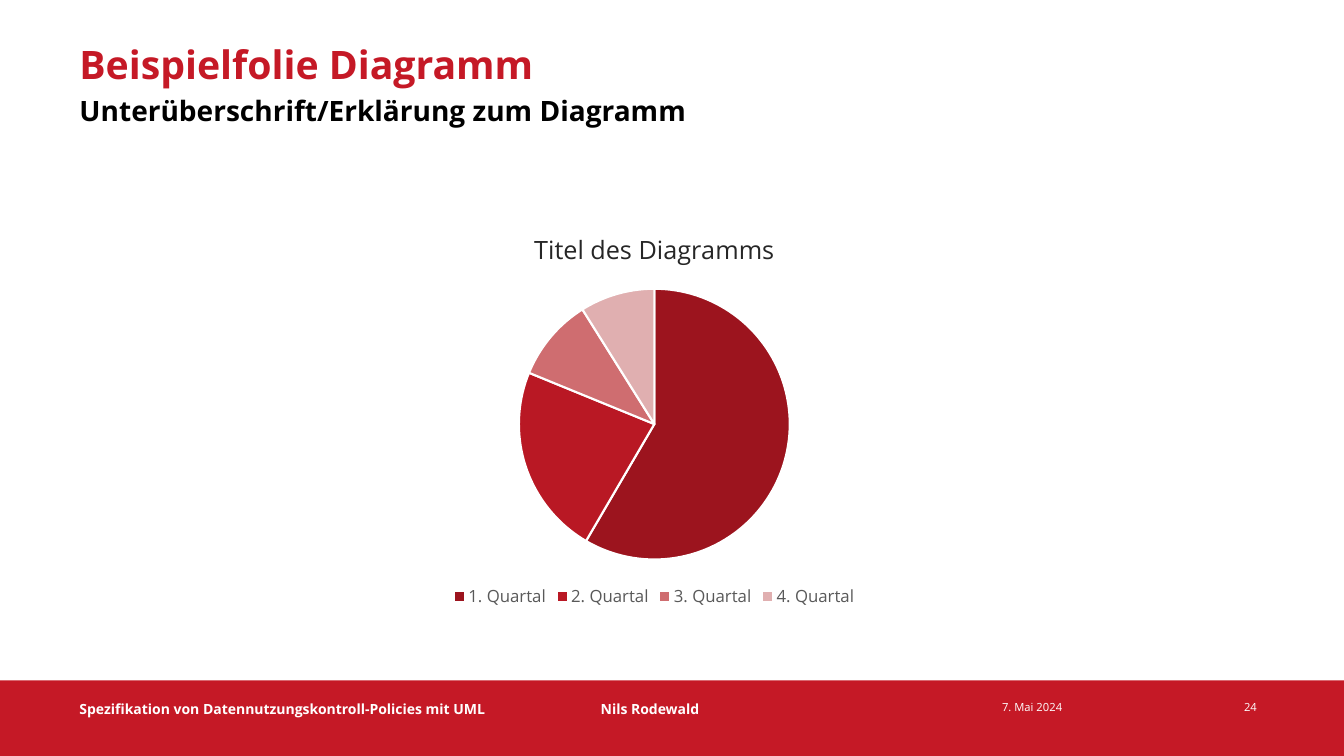
from pptx import Presentation
from pptx.chart.data import CategoryChartData
from pptx.dml.color import RGBColor
from pptx.enum.chart import XL_CHART_TYPE as ChartType, XL_LEGEND_POSITION as LegendPosition
from pptx.enum.shapes import MSO_SHAPE as Shape
from pptx.util import Inches, Pt

# Content
FONT = "Open Sans"
RED, WHITE, BLACK = "C51926", "FFFFFF", "000000"
WIDTH, HEIGHT = 13.33, 7.5
MARGIN, CONTENT_WIDTH = 0.69, 11.5
BAR_HEIGHT = HEIGHT / 10
FOOTER_TOP = 6.9

# text, (left, top, width, height), size, colour, bold, line spacing
TEXTS = [
    ("Beispielfolie Diagramm", (MARGIN, 0.4, CONTENT_WIDTH, 0.54), 28, RED, True, 0.9),
    ("Unterüberschrift/Erklärung zum Diagramm",
     (MARGIN, 0.92, CONTENT_WIDTH, 0.66), 20, BLACK, True, 0.9),
    ("Spezifikation von Datennutzungskontroll-Policies mit UML",
     (MARGIN, FOOTER_TOP, 4.96, 0.49), 10, WHITE, True, 1.0),
    ("Nils Rodewald", (5.86, FOOTER_TOP, 3.74, 0.33), 10, WHITE, True, 1.0),
    ("7. Mai 2024", (9.84, FOOTER_TOP, 1.93, 0.3), 8, WHITE, False, 1.0),
    ("24", (12.24, FOOTER_TOP, 0.72, 0.27), 8, WHITE, False, 1.0),
]
CHART_TITLE = "Titel des Diagramms"
CHART_BOX = (2.18, 2.1, 8.62, 3.97)
QUARTERS = [  # category, value, colour
    ("1. Quartal", 59, "9C141E"),
    ("2. Quartal", 23, "B91824"),
    ("3. Quartal", 10, "CF6D70"),
    ("4. Quartal", 9, "E0AFB0"),
]


def color(value):
    return RGBColor.from_string(value)


def style_font(font, size, value, bold=False):
    font.name, font.size, font.bold = FONT, Pt(size), bold
    font.color.rgb = color(value)


def add_text(slide, text, box, size, value, bold, spacing):
    frame = slide.shapes.add_textbox(*map(Inches, box)).text_frame
    frame.word_wrap = True
    paragraph = frame.paragraphs[0]
    paragraph.line_spacing = spacing
    run = paragraph.add_run()
    run.text = text
    style_font(run.font, size, value, bold)


def add_pie(slide):
    data = CategoryChartData()
    data.categories = [name for name, _, _ in QUARTERS]
    data.add_series("Series 1", [value for _, value, _ in QUARTERS])
    chart = slide.shapes.add_chart(ChartType.PIE, *map(Inches, CHART_BOX), data).chart
    style_font(chart.font, 10, BLACK)

    # Title and legend
    chart.has_title = True
    run = chart.chart_title.text_frame.paragraphs[0].add_run()
    run.text = CHART_TITLE
    style_font(run.font, 18, "262626")
    chart.chart_title.include_in_layout = False
    chart.has_legend = True
    chart.legend.position = LegendPosition.BOTTOM
    chart.legend.include_in_layout = False
    style_font(chart.legend.font, 12, "595959")

    # Slices
    plot = chart.plots[0]
    plot.vary_by_categories = True
    for index, (_, _, fill) in enumerate(QUARTERS):
        slice_format = plot.series[0].points[index].format
        slice_format.fill.solid()
        slice_format.fill.fore_color.rgb = color(fill)
        slice_format.line.color.rgb = color(WHITE)
        slice_format.line.width = Pt(1.5)


def main():
    presentation = Presentation()
    presentation.slide_width, presentation.slide_height = Inches(WIDTH), Inches(HEIGHT)
    slide = presentation.slides.add_slide(presentation.slide_layouts[6])

    # Footer bar
    bar = slide.shapes.add_shape(Shape.RECTANGLE, 0, Inches(HEIGHT - BAR_HEIGHT),
                                 Inches(WIDTH), Inches(BAR_HEIGHT))
    bar.shadow.inherit = False
    bar.fill.solid()
    bar.fill.fore_color.rgb = color(RED)
    bar.line.fill.background()

    # Headings, footer texts and chart
    for entry in TEXTS:
        add_text(slide, *entry)
    add_pie(slide)
    presentation.save("out.pptx")


if __name__ == "__main__":
    main()
